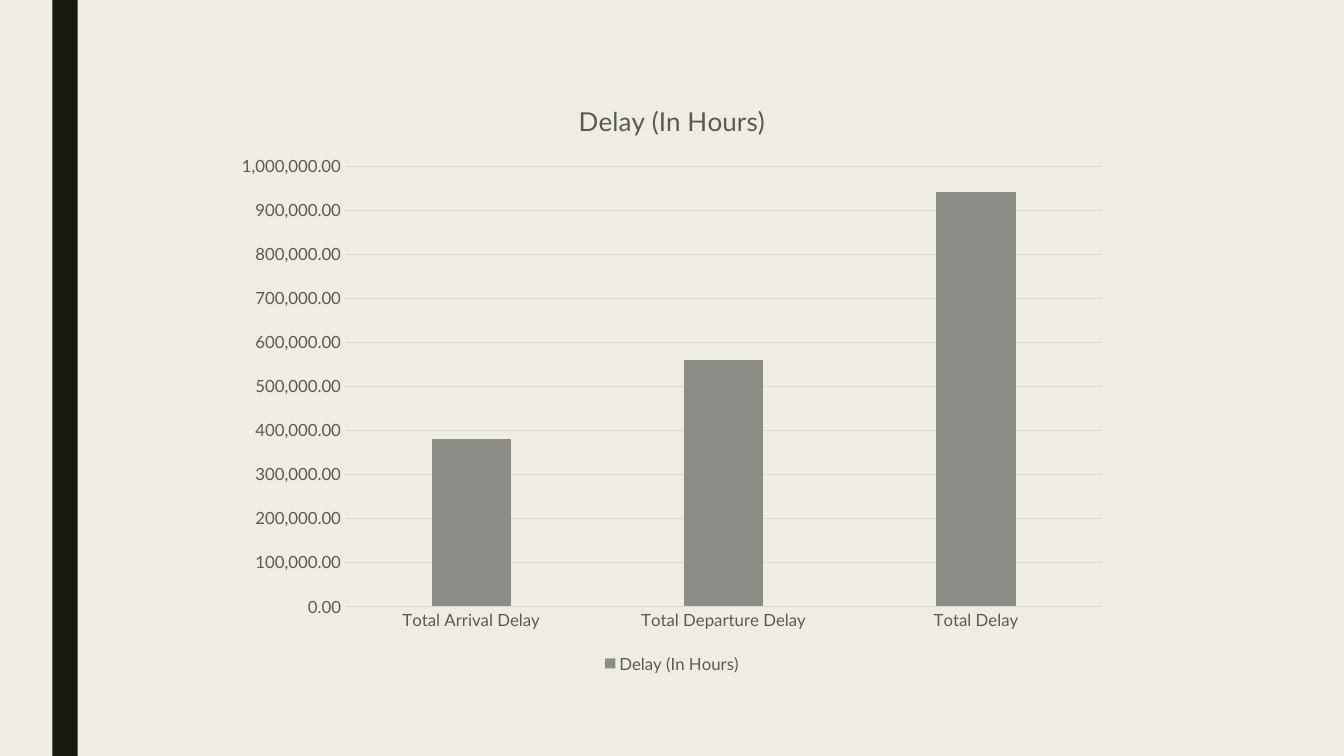
from dataclasses import dataclass

from pptx import Presentation
from pptx import util as u
from pptx.chart.data import CategoryChartData
from pptx.dml.color import RGBColor
from pptx.enum import chart as ch
from pptx.enum import shapes

FONT = "Lato"
PAPER, STRIPE, BAR = "EFEDE3", "191B0E", "8C8D86"
LABEL, RULE = "595959", "D9D9D9"
MEASURE = "Delay (In Hours)"


@dataclass
class Delay:
    label: str
    hours: int


DELAYS = [
    Delay("Total Arrival Delay", 380000),
    Delay("Total Departure Delay", 560000),
    Delay("Total Delay", 940000),
]


def rgb(value: str) -> RGBColor:
    return RGBColor.from_string(value)


def paint(fill, color: str) -> None:
    fill.solid()
    fill.fore_color.rgb = rgb(color)


def style_font(font, size: float) -> None:
    font.name = FONT
    font.size = u.Pt(size)
    font.bold = False
    font.color.rgb = rgb(LABEL)


def style_rule(line) -> None:
    line.color.rgb = rgb(RULE)
    line.width = u.Pt(0.75)


def draw_stripe(slide, height: int) -> None:
    stripe = slide.shapes.add_shape(
        shapes.MSO_SHAPE.RECTANGLE, u.Inches(0.52), 0, u.Inches(0.25), height)
    stripe.shadow.inherit = False
    paint(stripe.fill, STRIPE)
    stripe.line.fill.background()


def draw_delays(slide, delays: list[Delay]) -> None:
    data = CategoryChartData(number_format="#,##0.00")
    data.categories = [delay.label for delay in delays]
    data.add_series(MEASURE, [delay.hours for delay in delays])
    chart = slide.shapes.add_chart(
        ch.XL_CHART_TYPE.COLUMN_CLUSTERED, u.Inches(2.22), u.Inches(0.79),
        u.Inches(8.89), u.Inches(5.93), data).chart
    style_font(chart.font, 12)

    # Title and legend
    title = chart.chart_title.text_frame.paragraphs[0].add_run()
    title.text = MEASURE
    style_font(title.font, 18.6)
    chart.has_legend = True
    chart.legend.position = ch.XL_LEGEND_POSITION.BOTTOM
    chart.legend.include_in_layout = False
    style_font(chart.legend.font, 12)

    # Columns
    plot = chart.plots[0]
    plot.gap_width, plot.overlap = 219, -27
    plot.vary_by_categories = False
    columns = plot.series[0]
    columns.invert_if_negative = False
    paint(columns.format.fill, BAR)

    # Axes
    for axis in (chart.category_axis, chart.value_axis):
        axis.major_tick_mark = axis.minor_tick_mark = ch.XL_TICK_MARK.NONE
        style_font(axis.tick_labels.font, 12)
    style_rule(chart.category_axis.format.line)
    hours = chart.value_axis
    hours.minimum_scale, hours.maximum_scale = 0, 1000000
    hours.major_unit = 100000
    hours.format.line.fill.background()
    style_rule(hours.major_gridlines.format.line)
    hours.tick_labels.number_format = "#,##0.00"
    hours.tick_labels.number_format_is_linked = False


def main() -> None:
    deck = Presentation()
    deck.slide_width, deck.slide_height = u.Inches(13.33), u.Inches(7.5)
    slide = deck.slides.add_slide(deck.slide_layouts[6])
    paint(slide.background.fill, PAPER)
    draw_stripe(slide, deck.slide_height)
    draw_delays(slide, DELAYS)
    deck.save("out.pptx")


if __name__ == "__main__":
    main()
